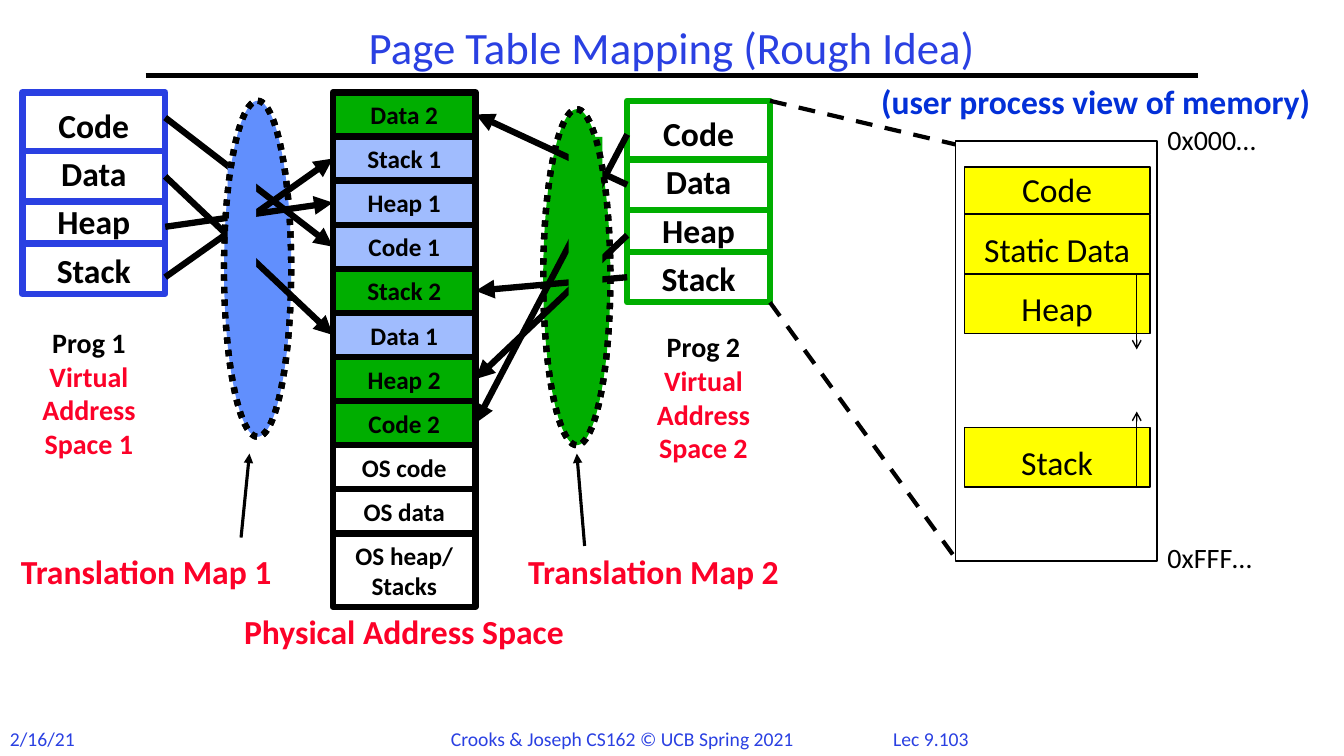
from itertools import accumulate
from lxml.etree import SubElement
from pptx import Presentation
from pptx.dml.color import RGBColor
from pptx.enum.dml import MSO_LINE
from pptx.enum.shapes import MSO_CONNECTOR, MSO_SHAPE
from pptx.enum.text import MSO_ANCHOR, PP_ALIGN
from pptx.oxml.ns import qn
from pptx.util import Inches, Pt

COLS, ROWS, CELL = 160, 90, Inches(1 / 12)
FONT = "Calibri"
BLACK, WHITE, RED, INK = "000000", "FFFFFF", "FC0128", "2A40E2"
GREEN, BLUE, PALE, YELLOW, NAVY = "00AE00", "618FFD", "A0BCFE", "FFFF00", "0330D8"
LEFT, MID, RIGHT = PP_ALIGN.LEFT, PP_ALIGN.CENTER, PP_ALIGN.RIGHT
TOP, CENTER, BOTTOM = MSO_ANCHOR.TOP, MSO_ANCHOR.MIDDLE, MSO_ANCHOR.BOTTOM

PARTS = ["Code", "Data", "Heap", "Stack"]
SPLITS = [7, 13, 18]
BOX_W, BOX_H = 17, 24
PROGS = [
    {"id": 1, "box": (2.67, 11), "edge": INK, "fill": BLUE, "side": 1,
     "exits": [3, 10, 16, 22], "map": (26.67, 12), "patch": (27.1, 19.8, 3.4, 18),
     "note": (2.67, 38.17), "label": (0, 65, 33.5, 6), "align": RIGHT,
     "hint": (28.7, 64, 29.7, 54)},
    {"id": 2, "box": (74.67, 12), "edge": GREEN, "fill": GREEN, "side": 3,
     "exits": [4, 10, 16, 21], "map": (64.67, 13), "patch": (67.7, 16.3, 4, 24.6),
     "note": (75.83, 38.67), "label": (61.7, 65, 37.8, 6), "align": LEFT,
     "hint": (69.6, 65, 68.67, 54)},
]
PHYS = ["Data 2", "Stack 1", "Heap 1", "Code 1", "Stack 2", "Data 1",
        "Heap 2", "Code 2", "OS code", "OS data", "OS heap/\nStacks"]
PHYS_X, PHYS_Y, ROW_H = 39.63, 11, 5.25
TINTS = {"1": PALE, "2": GREEN}
VIEW = (113.75, 16.8, 24, 50)
AREAS = [("Code", 19.9, 5.6), ("Static Data", 25.5, 7.1),
         ("Heap", 32.6, 7.1), ("Stack", 50.9, 7.1)]
GROWTH = [(58, 49), (32.6, 41.6)]
ZOOM = [(91.67, 12, 113.75, 17.2), (91.67, 36, 114, 66.8)]
TEXTS = [
    ("Page Table Mapping (Rough Idea)", (17.33, 2, 125.33, 7), 32, INK, False, MID, CENTER),
    ("2/16/21", (0, 86, 11, 4), 14, INK, False, LEFT, TOP),
    ("Crooks & Joseph CS162 © UCB Spring 2021", (52.5, 86, 45, 4), 14, INK, False, LEFT, TOP),
    ("Lec 9.103", (104.5, 86, 12.67, 4), 14, INK, False, MID, TOP),
    ("Physical Address Space", (23.6, 72.1, 49, 6), 24, RED, True, MID, TOP),
    ("0x000…", (137.8, 14, 15, 5.25), 20, BLACK, False, LEFT, TOP),
    ("0xFFF…", (137.8, 63.7, 15.5, 5.25), 20, BLACK, False, LEFT, TOP),
    ("(user process view of memory)", (101.9, 9, 57.1, 6), 24, NAVY, True, MID, TOP),
]

deck = Presentation()
deck.slide_width, deck.slide_height = COLS * CELL, ROWS * CELL
slide = deck.slides.add_slide(deck.slide_layouts[6])


def tone(code):
    return RGBColor.from_string(code)


def place(area):
    return [round(n * CELL) for n in area]


def write(shape, lines, size, bold=False, align=MID, anchor=CENTER, gap=None):
    frame = shape.text_frame
    frame.word_wrap = True
    frame.vertical_anchor = anchor
    for n, (text, color) in enumerate(lines):
        para = frame.add_paragraph() if n else frame.paragraphs[0]
        para.alignment = align
        if gap:
            para.line_spacing = gap
        run = para.add_run()
        run.text = text
        run.font.name, run.font.size, run.font.bold = FONT, Pt(size), bold
        run.font.color.rgb = tone(color)


def label(area, lines, size, bold, align=MID, anchor=TOP):
    write(slide.shapes.add_textbox(*place(area)), lines, size, bold, align, anchor)


def shape(area, fill=None, edge=None, width=4.5, kind=MSO_SHAPE.RECTANGLE, dash=None):
    item = slide.shapes.add_shape(kind, *place(area))
    item.shadow.inherit = False
    if fill:
        item.fill.solid()
        item.fill.fore_color.rgb = tone(fill)
    else:
        item.fill.background()
    if edge:
        item.line.color.rgb = tone(edge)
        item.line.width = Pt(width)
        if dash:
            item.line.dash_style = dash
    else:
        item.line.fill.background()
    return item


def oval(prog, fill=None):
    shape((*prog["map"], 8, 40), fill, BLACK, 4.5, MSO_SHAPE.OVAL, MSO_LINE.ROUND_DOT)


def line(ends, width, color=BLACK, head=None, dash=None):
    item = slide.shapes.add_connector(MSO_CONNECTOR.STRAIGHT, *place(ends))
    item.line.color.rgb = tone(color)
    item.line.width = Pt(width)
    if dash:
        item.line.dash_style = dash
    if head:
        SubElement(item.line._get_or_add_ln(), qn("a:tailEnd"), type=head)
    SubElement(item._element.spPr, qn("a:effectLst"))
    return item


def draw_prog(prog):
    x, y = prog["box"]
    oval(prog, prog["fill"])
    box = shape((x, y, BOX_W, BOX_H), WHITE, prog["edge"])
    write(box, [(part, BLACK) for part in PARTS], 24, True, gap=1.2)
    for split in SPLITS:
        line((x, y + split, x + BOX_W, y + split), 4.5, prog["edge"])
    words = ["Virtual", "Address", f"Space {prog['id']}"]
    lines = [(f"Prog {prog['id']}", BLACK)] + [(word, RED) for word in words]
    label((*prog["note"], 15.83, 17.4), lines, 20, True)
    label(prog["label"], [(f"Translation Map {prog['id']}", RED)], 24, True, prog["align"])
    line(prog["hint"], 2.25, head="triangle")


def draw_phys():
    highs = [ROW_H] * (len(PHYS) - 1) + [8.75]
    tops = accumulate(highs, initial=PHYS_Y)
    cells = {}
    for name, top, high in zip(PHYS, tops, highs):
        cell = shape((PHYS_X, top, BOX_W, high), TINTS.get(name[-1], WHITE), BLACK)
        write(cell, [(text, BLACK) for text in name.split("\n")], 18, True)
        cells[name] = cell
    return cells


def draw_maps(prog, cells):
    x, y = prog["box"]
    start = x + BOX_W if prog["side"] == 1 else x
    for part, drop in zip(PARTS, prog["exits"]):
        arrow = line((start, y + drop, PHYS_X, y + drop), 4.5, head="triangle")
        arrow.end_connect(cells[f"{part} {prog['id']}"], prog["side"])


def draw_view():
    shape(VIEW, None, BLACK, 1)
    for name, top, high in AREAS:
        area = shape((114.8, top, 22.1, high), YELLOW, BLACK, 1)
        write(area, [(name, BLACK)], 24, anchor=BOTTOM)
    for start, end in GROWTH:
        line((135.33, start, 135.33, end), 1, head="arrow")
    for ends in ZOOM:
        line(ends, 3, dash=MSO_LINE.DASH)


line((17.33, 9, 142.67, 9), 3)
for prog in PROGS:
    draw_prog(prog)
cells = draw_phys()
for prog in PROGS:
    draw_maps(prog, cells)
for prog in PROGS:
    shape(prog["patch"], prog["fill"])
    oval(prog)
draw_view()
for text, area, size, color, bold, align, anchor in TEXTS:
    label(area, [(text, color)], size, bold, align, anchor)
deck.save("out.pptx")
